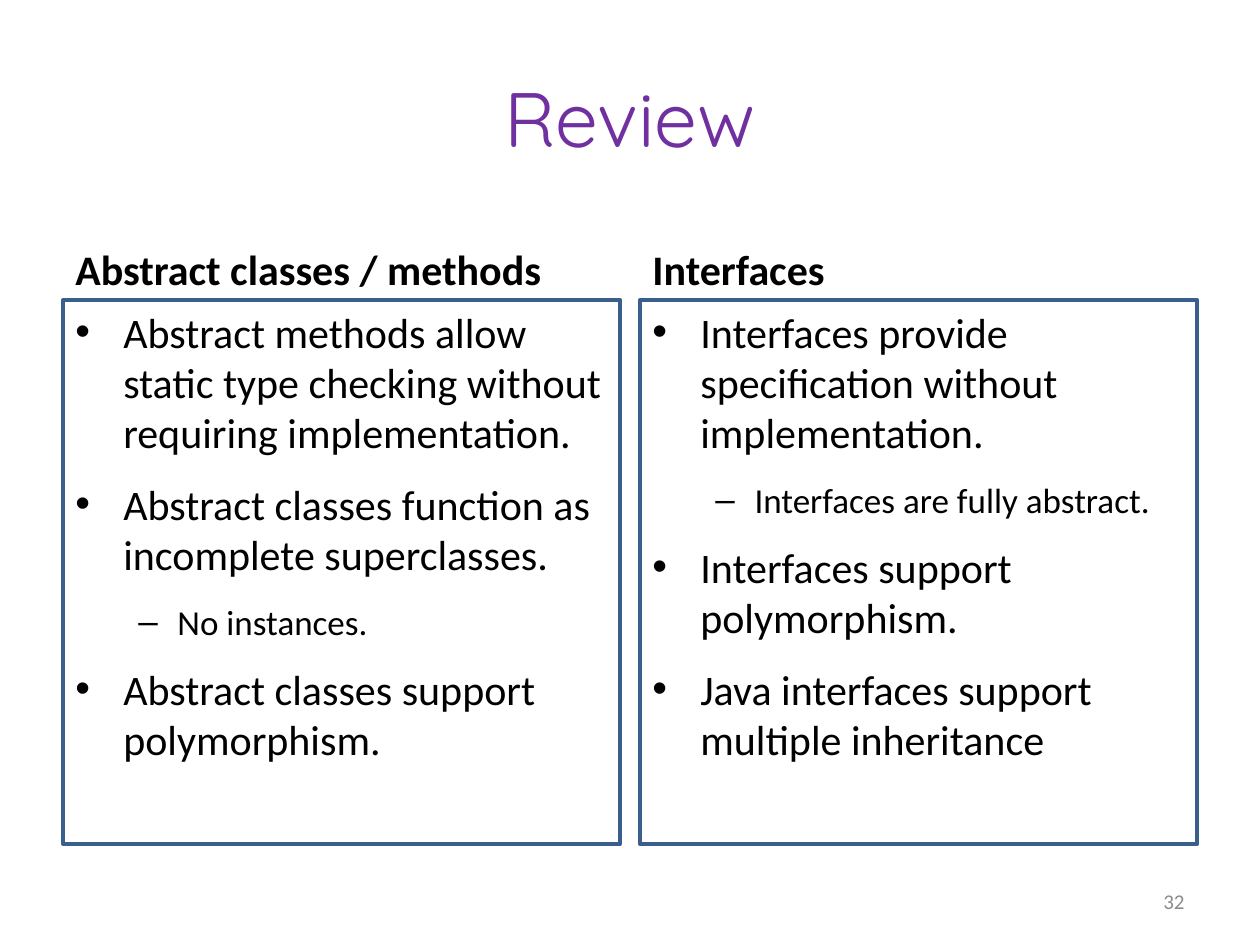
from lxml import etree
from pptx import Presentation
from pptx import util as u
from pptx.dml.color import RGBColor
from pptx.enum import shapes, text
from pptx.oxml.ns import qn

COLUMNS = [
    ("Abstract classes / methods", [
        (0, "Abstract methods allow static type checking without requiring implementation."),
        (0, "Abstract classes function as incomplete superclasses."),
        (1, "No instances."),
        (0, "Abstract classes support polymorphism."),
    ]),
    ("Interfaces", [
        (0, "Interfaces provide specification without implementation."),
        (1, "Interfaces are fully abstract."),
        (0, "Interfaces support polymorphism."),
        (0, "Java interfaces support multiple inheritance"),
    ]),
]
LEVELS = [("•", 24, 0.38, 0.38), ("–", 20, 0.81, 0.31)]
LEFT, COLUMN_WIDTH, COLUMN_STEP = 0.5, 4.42, 4.58


def color(value):
    return RGBColor.from_string(value)


def write(paragraph, words, size=24, font="Calibri", ink="000000", bold=False,
          align=text.PP_ALIGN.LEFT, before=0):
    paragraph.alignment = align
    paragraph.space_before = u.Pt(before)
    run = paragraph.add_run()
    run.text = words
    run.font.size = u.Pt(size)
    run.font.name = font
    run.font.bold = bold
    run.font.color.rgb = color(ink)


def add_bullet(paragraph, mark, margin, hanging):
    properties = paragraph._p.get_or_add_pPr()
    properties.set("marL", str(u.Inches(margin)))
    properties.set("indent", str(-u.Inches(hanging)))
    etree.SubElement(properties, qn("a:buFont"), typeface="Arial")
    etree.SubElement(properties, qn("a:buChar"), char=mark)


class ReviewSlide:
    accent = "7030A0"
    border = "3A5F8C"
    muted = "8C8C8C"

    def __init__(self, deck):
        self.slide = deck.slides.add_slide(deck.slide_layouts[5])

    def title(self, words):
        heading = self.slide.shapes.title
        heading.left, heading.top = u.Inches(LEFT), u.Inches(0.3)
        heading.width, heading.height = u.Inches(9), u.Inches(1.25)
        heading.text_frame.vertical_anchor = text.MSO_ANCHOR.MIDDLE
        write(heading.text_frame.paragraphs[0], words, size=44, font="Quicksand",
              ink=self.accent, align=text.PP_ALIGN.CENTER)

    def label(self, words, left, top, width, height, anchor, **style):
        caption = self.slide.shapes.add_textbox(
            u.Inches(left), u.Inches(top), u.Inches(width), u.Inches(height))
        caption.text_frame.word_wrap = True
        caption.text_frame.vertical_anchor = anchor
        write(caption.text_frame.paragraphs[0], words, **style)

    def bullet_panel(self, points, left):
        panel = self.slide.shapes.add_shape(
            shapes.MSO_SHAPE.RECTANGLE, u.Inches(left), u.Inches(2.38),
            u.Inches(COLUMN_WIDTH), u.Inches(4.32))
        panel.shadow.inherit = False
        panel.fill.background()
        panel.line.color.rgb = color(self.border)
        panel.line.width = u.Pt(2)
        frame = panel.text_frame
        frame.word_wrap = True
        frame.vertical_anchor = text.MSO_ANCHOR.TOP
        for index, (level, words) in enumerate(points):
            mark, size, margin, hanging = LEVELS[level]
            point = frame.add_paragraph() if index else frame.paragraphs[0]
            point.level = level
            write(point, words, size=size, before=12)
            add_bullet(point, mark, margin, hanging)

    def column(self, index, heading, points):
        left = LEFT + index * COLUMN_STEP
        self.label(heading, left, 1.68, COLUMN_WIDTH, 0.7,
                   text.MSO_ANCHOR.BOTTOM, bold=True)
        self.bullet_panel(points, left)

    def page_number(self, number):
        self.label(number, 7.17, 6.95, 2.33, 0.4, text.MSO_ANCHOR.MIDDLE,
                   size=12, ink=self.muted, align=text.PP_ALIGN.RIGHT)


def main():
    deck = Presentation()
    deck.slide_width, deck.slide_height = u.Inches(10), u.Inches(7.5)
    review = ReviewSlide(deck)
    review.title("Review")
    for index, (heading, points) in enumerate(COLUMNS):
        review.column(index, heading, points)
    review.page_number("32")
    deck.save("out.pptx")


if __name__ == "__main__":
    main()
